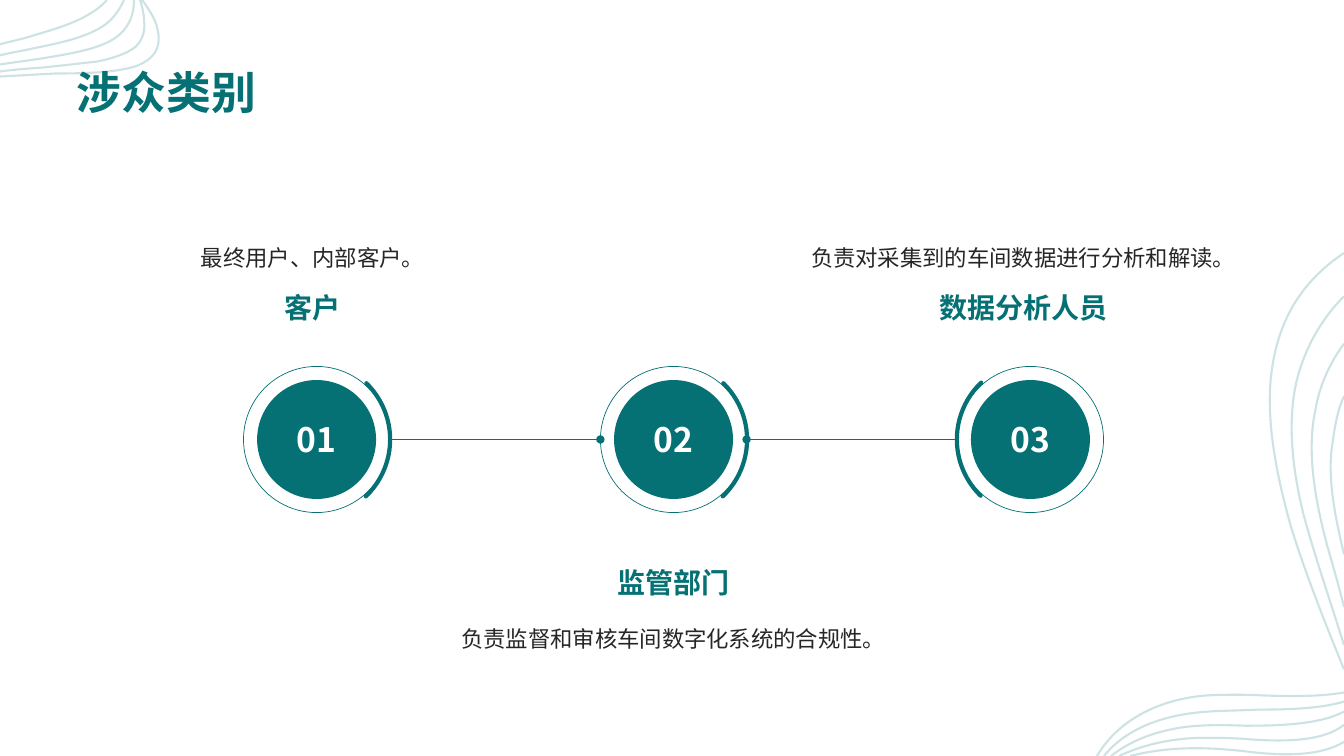
from pptx import Presentation, util as u
from pptx.dml.color import RGBColor
from pptx.enum import shapes, text
from pptx.oxml.ns import qn
from lxml import etree

WIDTH, HEIGHT = 13.33, 7.5
TEAL = RGBColor(0x05, 0x71, 0x74)
INK = RGBColor(0x26, 0x26, 0x26)
WHITE = RGBColor(0xFF, 0xFF, 0xFF)
FONT = "Noto Sans CJK SC"

# Timeline grid: three columns on one horizontal axis
FIRST, STEP, AXIS = 3.14, 3.54, 4.36
RING, DISC, ARC = 1.45, 1.18, 1.56
ARC_SHIFT = 0.05
LABEL_W, LABEL_H, BODY_H = 4.74, 0.55, 1.01
ABOVE = {"body": 1.68, "heading": 2.88}
BELOW = {"heading": 5.39, "body": 6.07}

# Number, heading, description, text rows, side of the thick arc, text nudge
STAKEHOLDERS = [
    ("01", "客户", "最终用户、内部客户。", ABOVE, 1, -0.04),
    ("02", "监管部门", "负责监督和审核车间数字化系统的合规性。", BELOW, 1, 0),
    ("03", "数据分析人员", "负责对采集到的车间数据进行分析和解读。", ABOVE, -1, -0.07),
]

# Waves: a start point, then three points per Bezier segment
CORNER_WAVES = [
    [(0, .44), (.08, .42), (.16, .4), (.24, .38), (.47, .31), (.7, .25),
     (.87, .15), (.94, .11), (1.01, .06), (1.06, 0)],
    [(1.41, 0), (1.47, .08), (1.52, .16), (1.55, .24), (1.6, .41), (1.59, .57),
     (1.34, .66), (1.14, .72), (.86, .73), (.55, .73), (.36, .74), (.18, .75), (0, .76)],
    [(1.39, 0), (1.41, .07), (1.43, .14), (1.43, .21), (1.44, .3), (1.42, .39),
     (1.35, .46), (1.27, .53), (1.12, .58), (.97, .61), (.8, .63), (.62, .65),
     (.43, .67), (.29, .68), (.14, .69), (0, .71)],
    [(1.33, 0), (1.33, .13), (1.29, .25), (1.19, .34), (1.04, .48), (.72, .53),
     (.42, .58), (.28, .6), (.14, .62), (0, .64)],
    [(1.23, 0), (1.19, .09), (1.13, .18), (1.05, .24), (.89, .36), (.63, .42),
     (.38, .47), (.25, .5), (.12, .52), (0, .55)],
]
EDGE_WAVES = [
    [(13.33, 3.93), (13.27, 4.06), (13.24, 4.22), (13.22, 4.37),
     (13.16, 4.7), (13.23, 5.08), (13.33, 5.5)],
    [(13.33, 3.41), (13.19, 3.6), (13.09, 3.82), (13.05, 4.05), (12.96, 4.45),
     (13.03, 4.91), (13.16, 5.4), (13.22, 5.61), (13.28, 5.82), (13.33, 6.02)],
    [(13.33, 2.94), (13.1, 3.17), (12.94, 3.46), (12.86, 3.78), (12.77, 4.17),
     (12.81, 4.63), (12.93, 5.11), (13.05, 5.55), (13.2, 5.98), (13.33, 6.4)],
    [(13.33, 2.51), (12.9, 2.8), (12.65, 3.2), (12.6, 3.8), (12.57, 4.23),
     (12.66, 4.71), (12.8, 5.21), (12.94, 5.67), (13.13, 6.15), (13.33, 6.64)],
    [(13.33, 6.87), (13.1, 6.91), (12.82, 6.91), (12.54, 6.9), (12.35, 6.89),
     (12.15, 6.89), (11.96, 6.9), (11.47, 6.94), (11.08, 7.16), (10.88, 7.5)],
    [(13.33, 6.96), (13.1, 7.03), (12.78, 7.04), (12.47, 7.04), (12.28, 7.05),
     (12.12, 7.05), (11.98, 7.06), (11.5, 7.09), (11.15, 7.25), (10.95, 7.5)],
    [(13.33, 7.06), (13.1, 7.18), (12.75, 7.2), (12.35, 7.2), (12.1, 7.19),
     (11.9, 7.19), (11.7, 7.22), (11.41, 7.27), (11.2, 7.36), (11.02, 7.5)],
    [(13.33, 7.19), (13.15, 7.34), (12.8, 7.37), (12.34, 7.33), (12.18, 7.32),
     (12.03, 7.32), (11.89, 7.32), (11.6, 7.33), (11.33, 7.39), (11.1, 7.5)],
    [(13.33, 7.36), (13.1, 7.5), (12.75, 7.5), (12.4, 7.46),
     (12, 7.41), (11.6, 7.4), (11.21, 7.5)],
]


def add_waves(slide, curves):
    first, *others = [[(u.Inches(x), u.Inches(y)) for x, y in curve] for curve in curves]
    builder = slide.shapes.build_freeform(*first[0], scale=1.0)
    builder.add_line_segments(first[1:], close=False)
    for curve in others:
        builder.move_to(*curve[0])
        builder.add_line_segments(curve[1:], close=False)
    waves = builder.convert_to_shape()
    paint(waves, line=1.5)
    color = waves.line._get_or_add_ln().find(qn("a:solidFill"))[0]
    etree.SubElement(color, qn("a:alpha")).set("val", "20000")

    # Join every three points into one Bezier segment
    corners = list(waves._element.iter(qn("a:lnTo")))
    for i in range(0, len(corners), 3):
        bezier = etree.Element(qn("a:cubicBezTo"))
        corners[i].addprevious(bezier)
        for corner in corners[i:i + 3]:
            bezier.append(corner[0])
            corner.getparent().remove(corner)


def paint(shape, fill=None, line=None):
    shape.shadow.inherit = False
    if fill is None:
        shape.fill.background()
    else:
        shape.fill.solid()
        shape.fill.fore_color.rgb = fill
    if line is None:
        shape.line.fill.background()
    else:
        shape.line.color.rgb = TEAL
        shape.line.width = u.Pt(line)


def write(shape, words, size, color, bold, anchor, align, spacing=None, wrap=True):
    frame = shape.text_frame
    frame.margin_left = frame.margin_right = frame.margin_top = frame.margin_bottom = 0
    frame.word_wrap, frame.vertical_anchor = wrap, anchor
    line = frame.paragraphs[0]
    line.text, line.alignment = words, align
    if spacing:
        line.line_spacing = spacing
    line.font.size, line.font.bold, line.font.name = u.Pt(size), bold, FONT
    line.font.color.rgb = color
    for run in line.runs:  # East Asian typeface
        etree.SubElement(run._r.get_or_add_rPr(), qn("a:ea")).set("typeface", FONT)


def add_round(slide, kind, center, size):
    return slide.shapes.add_shape(kind, u.Inches(center - size / 2),
                                  u.Inches(AXIS - size / 2), u.Inches(size), u.Inches(size))


def add_node(slide, center, number, side):
    paint(add_round(slide, shapes.MSO_SHAPE.OVAL, center, RING), line=0.5)
    disc = add_round(slide, shapes.MSO_SHAPE.OVAL, center, DISC)
    paint(disc, fill=TEAL)
    write(disc, number, 24, WHITE, True, text.MSO_ANCHOR.MIDDLE, text.PP_ALIGN.CENTER,
          wrap=False)
    arc = add_round(slide, shapes.MSO_SHAPE.ARC, center - side * ARC_SHIFT, ARC)
    arc.adjustments[0], arc.adjustments[1] = 26.57, 81.76
    arc.rotation = -90 * side % 360
    paint(arc, line=3)
    arc.line._get_or_add_ln().set("cap", "rnd")


def add_label(slide, center, top, height, words, **style):
    box = slide.shapes.add_textbox(u.Inches(center - LABEL_W / 2), u.Inches(top),
                                   u.Inches(LABEL_W), u.Inches(height))
    write(box, words, align=text.PP_ALIGN.CENTER, **style)


def add_link(slide, start, end):
    link = slide.shapes.add_connector(shapes.MSO_CONNECTOR.STRAIGHT, u.Inches(start),
                                      u.Inches(AXIS), u.Inches(end), u.Inches(AXIS))
    link.line.color.rgb, link.line.width = TEAL, u.Pt(1.25)
    etree.SubElement(link.line._get_or_add_ln(), qn("a:tailEnd")).set("type", "oval")
    etree.SubElement(link._element.spPr, qn("a:effectLst"))


def main():
    deck = Presentation()
    deck.slide_width, deck.slide_height = u.Inches(WIDTH), u.Inches(HEIGHT)
    slide = deck.slides.add_slide(deck.slide_layouts[5])

    # Background waves, then the title above them
    add_waves(slide, CORNER_WAVES)
    add_waves(slide, EDGE_WAVES)
    title = slide.shapes.title
    slide.shapes._spTree.append(title._element)
    title.left, title.top = u.Inches(0.76), u.Inches(0.39)
    title.width, title.height = u.Inches(11.81), u.Inches(0.79)
    write(title, "涉众类别", 32, TEAL, True, text.MSO_ANCHOR.BOTTOM, text.PP_ALIGN.LEFT)

    # Stakeholders along the axis
    top, bottom = text.MSO_ANCHOR.TOP, text.MSO_ANCHOR.BOTTOM
    centers = [FIRST + STEP * i for i in range(len(STAKEHOLDERS))]
    for center, (number, heading, body, rows, side, nudge) in zip(centers, STAKEHOLDERS):
        add_node(slide, center, number, side)
        above = rows is ABOVE
        add_label(slide, center + nudge, rows["heading"], LABEL_H, heading, size=20,
                  color=TEAL, bold=True, anchor=top if above else bottom)
        add_label(slide, center + nudge, rows["body"], BODY_H, body, size=16, color=INK,
                  bold=False, anchor=bottom if above else top, spacing=1.5)

    # Links that end with a dot on the middle ring
    customer, regulator, analyst = centers
    add_link(slide, customer + 0.75, regulator - RING / 2)
    add_link(slide, analyst - 0.75, regulator + RING / 2)

    deck.save("out.pptx")


if __name__ == "__main__":
    main()
